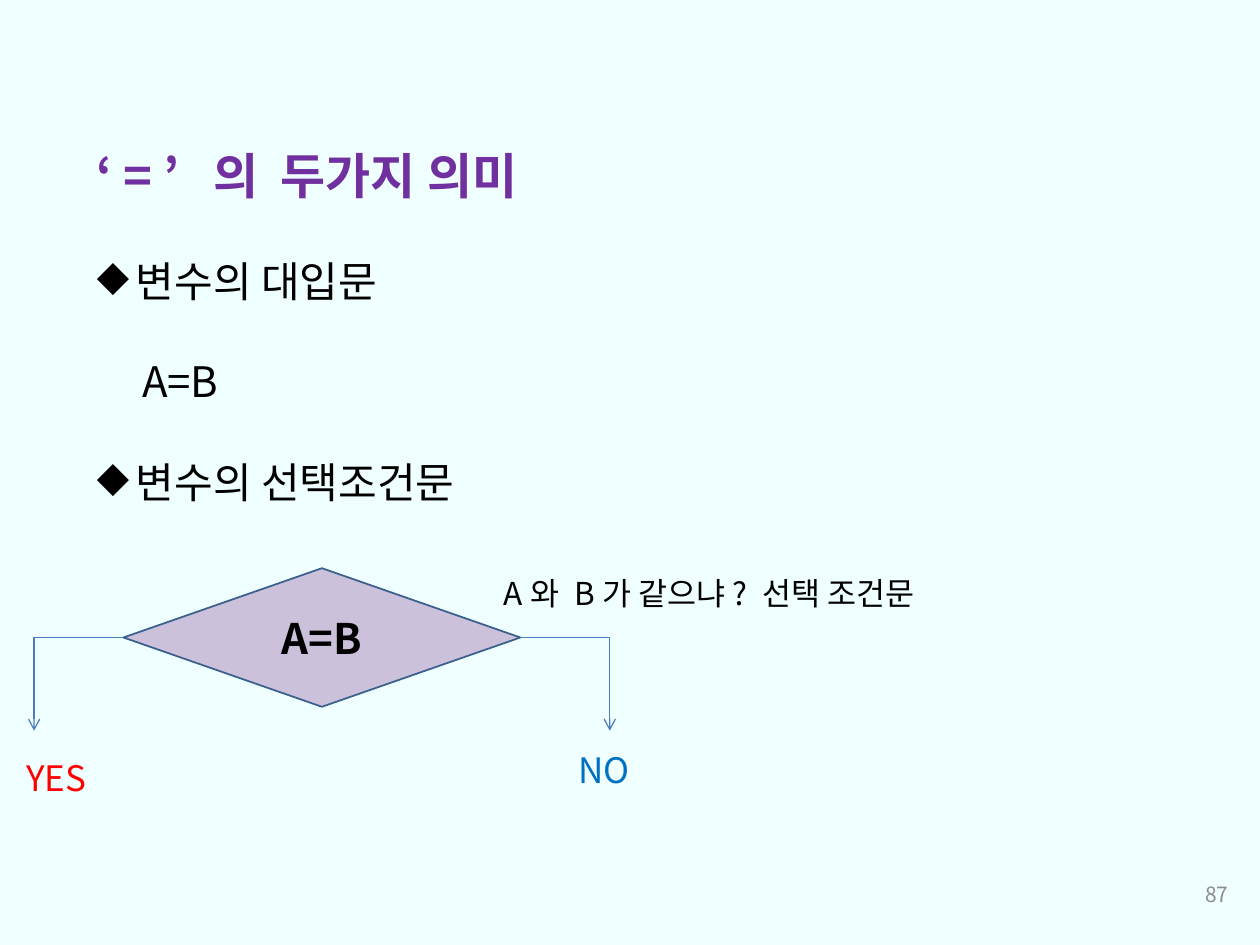
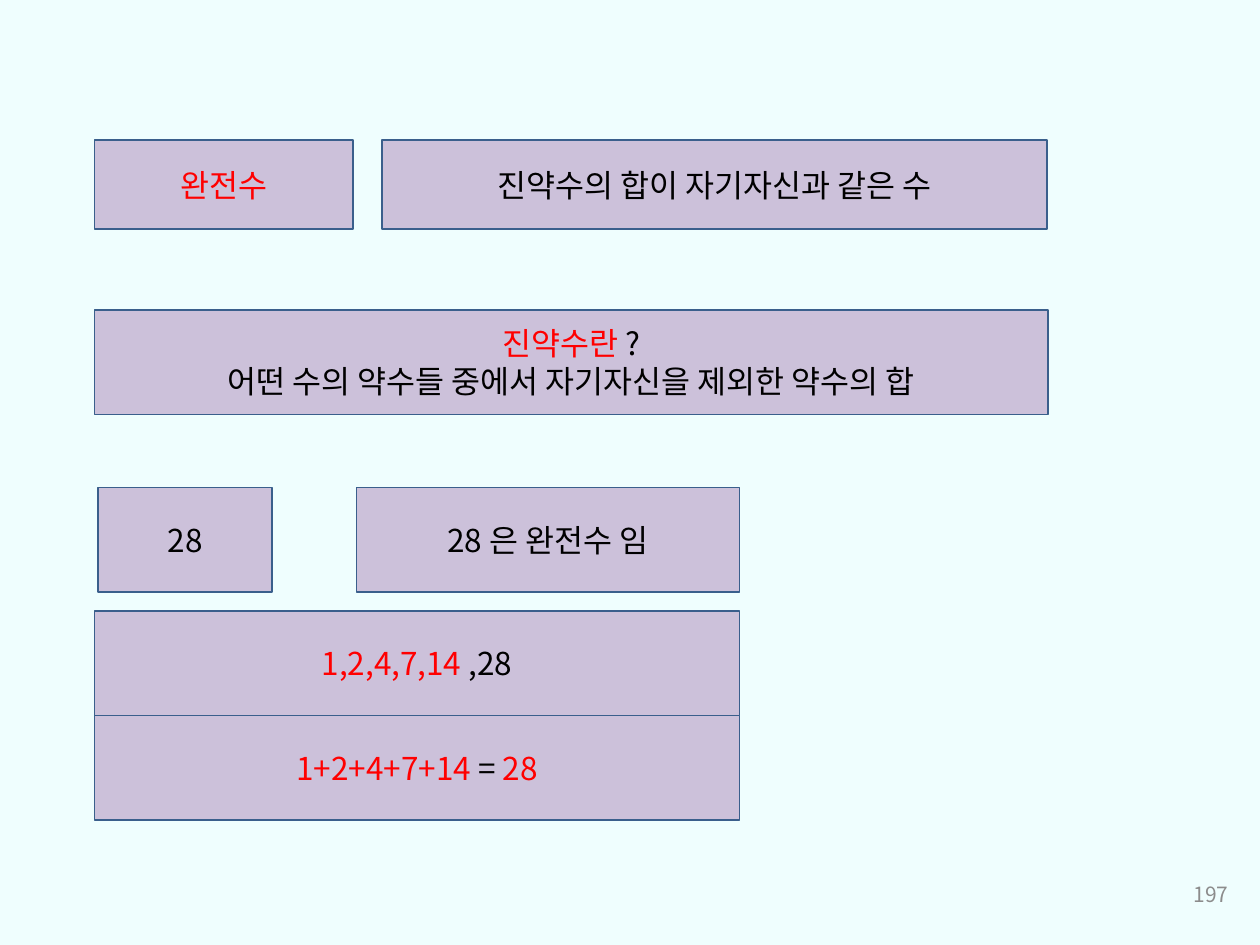
import pptx
import pptx.util
import pptx.dml.color
import pptx.enum.shapes
import pptx.enum.text
import pptx.oxml.ns
import lxml.etree

Inches = pptx.util.Inches
Pt = pptx.util.Pt
SHAPE = pptx.enum.shapes.MSO_SHAPE
ALIGN = pptx.enum.text.PP_ALIGN
ANCHOR = pptx.enum.text.MSO_ANCHOR
qn = pptx.oxml.ns.qn

FONT = "Noto Sans CJK KR"
COLORS = {
    "back": "EFFEFE", "fill": "CCC1DA", "edge": "3A5F8C", "arrow": "4B7EBC",
    "title": "7030A0", "text": "000000", "red": "FF0000", "blue": "0070C0",
    "number": "8C8C8C",
}


def color(name):
    return pptx.dml.color.RGBColor.from_string(COLORS[name])


class Deck:
    def __init__(self):
        self.file = pptx.Presentation()
        self.file.slide_width = Inches(10)
        self.file.slide_height = Inches(7.5)
        self.slide = None

    def start(self, number):
        """Add a blank slide with the shared background and page number."""
        self.slide = self.file.slides.add_slide(self.file.slide_layouts[6])
        fill = self.slide.background.fill
        fill.solid()
        fill.fore_color.rgb = color("back")
        self.label((7.52, 6.9, 2.33, 0.4), number, 12, "number", ALIGN.RIGHT)

    def runs(self, para, parts, size, bold=False):
        """Add (text, colour name) parts to a paragraph, run by run."""
        for text, name in parts:
            run = para.add_run()
            run.text = text
            run.font.size = Pt(size)
            run.font.bold = bold
            run.font.color.rgb = color(name)
            run.font.name = FONT
            east = lxml.etree.SubElement(run._r.get_or_add_rPr(), qn("a:ea"))
            east.set("typeface", FONT)

    def frame(self, box):
        shape = self.slide.shapes.add_textbox(*map(Inches, box))
        shape.text_frame.word_wrap = True
        return shape.text_frame

    def label(self, box, text, size, name, align=ALIGN.LEFT):
        frame = self.frame(box)
        frame.vertical_anchor = ANCHOR.MIDDLE
        para = frame.paragraphs[0]
        para.alignment = align
        self.runs(para, [(text, name)], size)

    def body(self, box, title, lines):
        """Add a title and spaced lines, each a (text, has bullet) pair."""
        frame = self.frame(box)
        para = frame.paragraphs[0]
        para.line_spacing = Pt(33.6)
        self.runs(para, [(title, "title")], 28, True)
        for text, marked in lines:
            para = frame.add_paragraph()
            para.line_spacing = para.space_before = Pt(28.8)
            props = para._p.get_or_add_pPr()
            props.set("marL", str(Inches(0.31 if marked else 0.36)))
            if marked:
                props.set("indent", str(-Inches(0.31)))
                bullet = lxml.etree.SubElement(props, qn("a:buChar"))
                bullet.set("char", "◆")
            self.runs(para, [(text, "text")], 24)

    def block(self, box, lines, kind=SHAPE.RECTANGLE, size=18, bold=False):
        """Add a filled shape with centred lines of coloured parts."""
        shape = self.slide.shapes.add_shape(kind, *map(Inches, box))
        shape.shadow.inherit = False
        shape.fill.solid()
        shape.fill.fore_color.rgb = color("fill")
        shape.line.color.rgb = color("edge")
        shape.line.width = Pt(1)
        frame = shape.text_frame
        frame.word_wrap = True
        frame.vertical_anchor = ANCHOR.MIDDLE
        for index, parts in enumerate(lines):
            para = frame.add_paragraph() if index else frame.paragraphs[0]
            para.alignment = ALIGN.CENTER
            if len(lines) > 1:
                para.line_spacing = Pt(1.2 * size)
            self.runs(para, parts, size, bold)

    def branch(self, left, top, wide, high, mirror=False):
        """Add an arrow that runs sideways and then down."""
        ends = map(Inches, (left, top, left + wide, top + high))
        kind = pptx.enum.shapes.MSO_CONNECTOR.ELBOW
        link = self.slide.shapes.add_connector(kind, *ends)
        link.line.color.rgb = color("arrow")
        link.line.width = Pt(0.75)
        props = link._element.spPr
        props.find(qn("a:prstGeom")).set("prst", "bentConnector2")
        if mirror:
            place = props.find(qn("a:xfrm"))
            place.set("rot", "10800000")
            place.set("flipV", "1")
        tail = lxml.etree.SubElement(props.find(qn("a:ln")), qn("a:tailEnd"))
        tail.set("type", "arrow")
        lxml.etree.SubElement(props, qn("a:effectLst"))


def equals(deck):
    deck.start("87")
    deck.body((0.67, 1.11, 7.24, 3.4), "‘ = ’  의  두가지 의미", [
        ("변수의 대입문", True), ("A=B", False), ("변수의 선택조건문", True)])
    left, top, wide, high = 0.98, 4.51, 3.15, 1.1
    deck.block((left, top, wide, high), [[("A=B", "text")]],
               SHAPE.FLOWCHART_DECISION, 24, True)
    reach, drop = 0.71, 0.74
    middle = top + high / 2
    deck.branch(left - reach, middle, reach, drop, mirror=True)
    deck.branch(left + wide, middle, reach, drop)
    deck.label((0.11, 5.95, 1.1, 0.44), "YES", 20, "red")
    deck.label((4.49, 5.89, 1.1, 0.44), "NO", 20, "blue")
    deck.label((3.9, top, 4.25, 0.4), "A와 B가 같으냐? 선택 조건문", 18, "text")


def perfect(deck):
    deck.start("197")
    left, high, wide = 0.75, 0.83, 5.12
    deck.block((left, 1.11, 2.05, 0.71), [[("완전수", "red")]])
    deck.block((3.03, 1.11, 5.28, 0.71),
               [[("진약수의 합이 자기자신과 같은 수", "text")]])
    deck.block((left, 2.46, 7.57, high), [
        [("진약수란", "red"), ("?", "text")],
        [("어떤 수의 약수들 중에서 자기자신을 제외한 약수의 합", "text")]])
    deck.block((0.78, 3.87, 1.38, high), [[("28", "text")]])
    deck.block((2.83, 3.87, 3.04, high), [[("28은 완전수 임", "text")]])
    sums = [
        [("1,2,4,7,14", "red"), (" ,28", "text")],
        [("1+2+4+7+14", "red"), (" = ", "text"), ("28", "red")]]
    for row, parts in enumerate(sums):
        deck.block((left, 4.85 + row * high, wide, high), [parts])


def main():
    deck = Deck()
    equals(deck)
    perfect(deck)
    deck.file.save("out.pptx")


if __name__ == "__main__":
    main()
